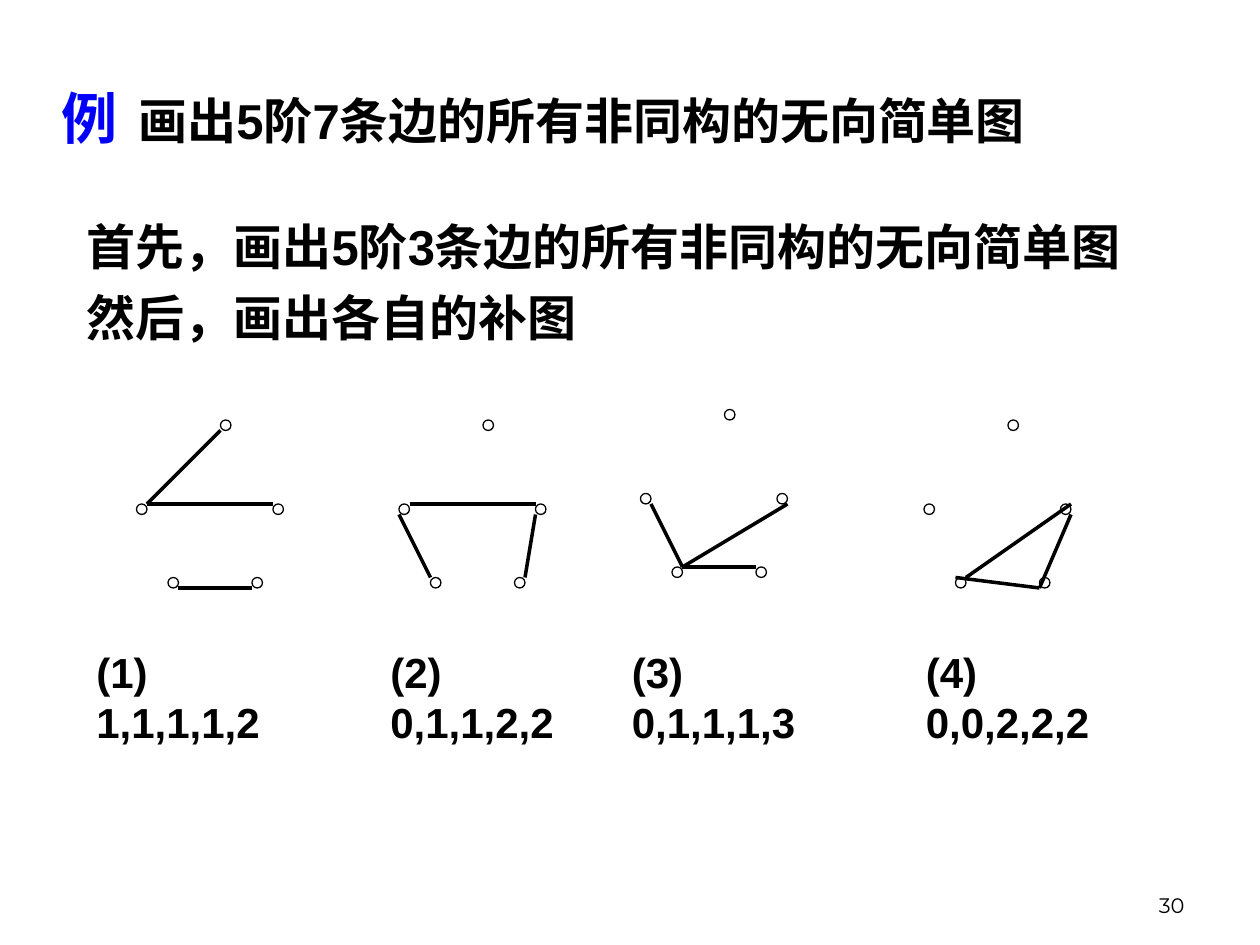
from pptx import Presentation
from pptx.enum import shapes, text
from pptx.oxml import ns
from pptx.util import Inches, Pt
from pptx.dml.color import RGBColor
from lxml import etree

COLORS = {"ink": "000000", "mark": "0000FA"}
HEAD = {"name": "Arial", "size": Pt(28), "bold": True}
MARK = {**HEAD, "size": Pt(32)}
LABEL = {**HEAD, "size": Pt(24)}
PAGE = {"name": "Montserrat", "size": Pt(12), "bold": False}
UNIT = 1 / 12  # graph grid step in inches

# Vertices in grid steps from each graph's corner
NODES = [(8, 0), (0, 8), (13, 8), (3, 15), (11, 15)]
# Graph corner, label left, label, edges (all in grid steps)
GRAPHS = [
    ((13, 40), 8, "(1) 1,1,1,1,2",
     [((8, 1), (1, 8)), ((1, 8), (13, 8)), ((4, 16), (11, 16))]),
    ((38, 40), 36, "(2) 0,1,1,2,2",
     [((1, 8), (13, 8)), ((13, 9), (12, 15)), ((0, 9), (3, 15))]),
    ((61, 39), 59, "(3) 0,1,1,1,3",
     [((1, 9), (4, 15)), ((4, 15), (11, 15)), ((4, 15), (14, 9))]),
    ((88, 40), 87, "(4) 0,0,2,2,2",
     [((4, 15), (14, 8)), ((14, 9), (11, 16)), ((11, 16), (3, 15))]),
]


def grid(n):
    return Inches(n * UNIT)


def ink(key):
    return RGBColor.from_string(COLORS[key])


def place(shape, box):
    for name, val in zip(("left", "top", "width", "height"), box):
        setattr(shape, name, Inches(val))


def frame(shape, anchor=text.MSO_ANCHOR.TOP):
    tf = shape.text_frame
    style = {"word_wrap": True, "vertical_anchor": anchor,
             "auto_size": text.MSO_AUTO_SIZE.NONE}
    for name, val in style.items():
        setattr(tf, name, val)
    return tf


def write(para, words, style, color="ink"):
    run = para.add_run()
    run.text = words
    for name, val in style.items():
        setattr(run.font, name, val)
    run.font.color.rgb = ink(color)


def align(para, before, side=text.PP_ALIGN.LEFT):
    para.alignment = side
    para.space_before = Pt(before)


def title(slide, box):
    place(slide.shapes.title, box)
    para = frame(slide.shapes.title).paragraphs[0]
    align(para, 17.5)
    # Tab stop between the mark and the task
    tabs = etree.SubElement(para._p.get_or_add_pPr(), ns.qn("a:tabLst"))
    etree.SubElement(tabs, ns.qn("a:tab"), pos=str(Inches(0.61)), algn="l")
    write(para, "例", MARK, "mark")
    write(para, "\t画出5阶7条边的所有非同构的无向简单图", HEAD)


def body(slide, box, lines):
    shape = slide.placeholders[1]
    place(shape, box)
    tf = frame(shape)
    for i, line in enumerate(lines):
        para = tf.add_paragraph() if i else tf.paragraphs[0]
        align(para, 7)
        props = para._p.get_or_add_pPr()
        props.set("marL", "0")
        props.set("indent", "0")
        etree.SubElement(props, ns.qn("a:buNone"))
        write(para, line, HEAD)


def note(slide, box, words, style, before=0, side=text.PP_ALIGN.LEFT,
         anchor=text.MSO_ANCHOR.TOP):
    shape = slide.shapes.add_textbox(*map(Inches, box))
    para = frame(shape, anchor).paragraphs[0]
    align(para, before, side)
    write(para, words, style)


def graph(slide, x, y, edges):
    # Vertices
    for dx, dy in NODES:
        node = slide.shapes.add_shape(
            shapes.MSO_SHAPE.OVAL, grid(x + dx), grid(y + dy), grid(1), grid(1))
        node.shadow.inherit = False
        node.fill.background()
        node.line.color.rgb = ink("ink")
        node.line.width = Pt(0.74)
    # Edges
    for (ax, ay), (bx, by) in edges:
        edge = slide.shapes.add_connector(
            shapes.MSO_CONNECTOR.STRAIGHT,
            grid(x + ax), grid(y + ay), grid(x + bx), grid(y + by))
        edge.line.color.rgb = ink("ink")
        edge.line.width = Pt(2)
        etree.SubElement(edge._element.spPr, ns.qn("a:effectLst"))


deck = Presentation()
deck.slide_width, deck.slide_height = Inches(10), Inches(7.5)
slide = deck.slides.add_slide(deck.slide_layouts[1])

title(slide, (0.39, 0.61, 8.92, 0.64))
body(slide, (0.59, 1.67, 8.74, 1.6),
     ["首先，画出5阶3条边的所有非同构的无向简单图", "然后，画出各自的补图"])
for (x, y), left, label, edges in GRAPHS:
    graph(slide, x, y, edges)
    note(slide, (left * UNIT, 5.08, 1.67, 0.9), label, LABEL, before=15)
# Page number
note(slide, (7.17, 6.83, 2.33, 0.5), "30", PAGE,
     side=text.PP_ALIGN.RIGHT, anchor=text.MSO_ANCHOR.BOTTOM)

deck.save("out.pptx")
